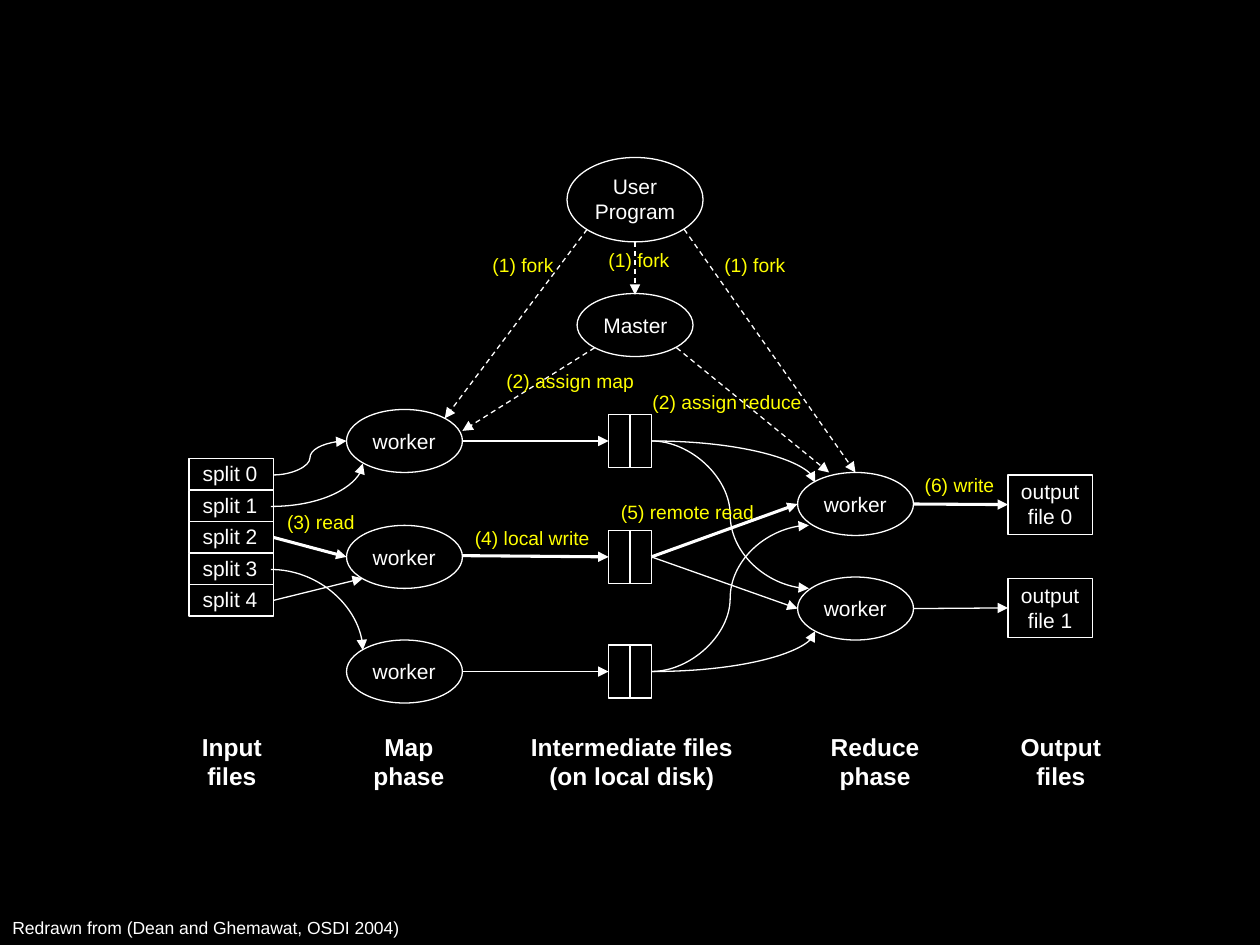
from lxml import etree
from pptx import Presentation
from pptx import util as u
from pptx.dml.color import RGBColor
from pptx.enum import dml, shapes, text
from pptx.oxml import ns

Inches = u.Inches
color = RGBColor.from_string
WHITE, YELLOW, BLACK = "FFFFFF", "FFFF00", "000000"
RECTANGLE, OVAL = shapes.MSO_SHAPE.RECTANGLE, shapes.MSO_SHAPE.OVAL
LEFT, CENTER = text.PP_ALIGN.LEFT, text.PP_ALIGN.CENTER

presentation = Presentation()
presentation.slide_width, presentation.slide_height = Inches(10), Inches(7.5)
slide = presentation.slides.add_slide(presentation.slide_layouts[6])
slide.background.fill.solid()
slide.background.fill.fore_color.rgb = color(BLACK)


def add_outline(kind, left, top, width, height):
    shape = slide.shapes.add_shape(kind, Inches(left), Inches(top), Inches(width), Inches(height))
    shape.shadow.inherit = False
    shape.fill.background()
    shape.line.color.rgb = color(WHITE)
    shape.line.width = u.Pt(0.75)
    return shape


def add_label(words, left, top, width, height, size=12, hex_color=WHITE,
              bold=False, align=LEFT, wrap=False):
    box = slide.shapes.add_textbox(Inches(left), Inches(top), Inches(width), Inches(height))
    frame = box.text_frame
    frame.text = words
    frame.word_wrap = wrap
    frame.auto_size = text.MSO_AUTO_SIZE.SHAPE_TO_FIT_TEXT
    for paragraph in frame.paragraphs:
        paragraph.alignment = align
        paragraph.font.name = "Arial"
        paragraph.font.size = u.Pt(size)
        paragraph.font.bold = bold
        paragraph.font.color.rgb = color(hex_color)


# Input splits
splits = []
for index in range(5):
    top = 3.64 + 0.25 * index
    splits.append(add_outline(RECTANGLE, 1.5, top, 0.67, 0.25))
    add_label(f"split {index}", 1.51, top - 0.03, 0.64, 0.3)

# Map and reduce workers, master
for name, left, top, width in [
    ("worker", 2.75, 3.25, 0.7), ("worker", 2.75, 4.17, 0.7), ("worker", 2.75, 5.08, 0.7),
    ("worker", 6.33, 3.75, 0.7), ("worker", 6.33, 4.58, 0.7), ("Master", 4.58, 2.33, 0.72),
]:
    add_outline(OVAL, left, top, 0.92, 0.5)
    add_label(name, left + 0.11, top + 0.1, width, 0.3)

# User program
add_outline(OVAL, 4.5, 1.25, 1.08, 0.67)
add_label("User\vProgram", 4.62, 1.33, 0.84, 0.5, align=CENTER)

# Output files
outputs = []
for index, top in enumerate([3.77, 4.59]):
    outputs.append(add_outline(RECTANGLE, 8, top, 0.67, 0.47))
    add_label(f"output\nfile {index}", 8, top - 0.02, 0.67, 0.51, align=CENTER)

# Intermediate files, each a pair of partitions
partitions = [[add_outline(RECTANGLE, left, top, 0.17, 0.42) for left in (4.83, 5)]
              for top in (3.29, 4.21, 5.12)]

# Straight arrows: start, end, width, dashed, rectangle at start, rectangle at end
straight_arrows = [
    ((2.17, 4.27), (2.75, 4.42), 1.75, False, splits[2], None),
    ((2.17, 4.77), (2.88, 4.59), 0.75, False, splits[4], None),
    ((3.67, 3.5), (4.83, 3.5), 0.75, False, None, partitions[0][0]),
    ((3.67, 4.41), (4.83, 4.42), 1.75, False, None, partitions[1][0]),
    ((3.67, 5.33), (4.83, 5.34), 0.75, False, None, partitions[2][0]),
    ((7.25, 4), (8, 4), 1.75, False, None, outputs[0]),
    ((7.25, 4.83), (8, 4.83), 0.75, False, None, outputs[1]),
    ((5.17, 4.42), (6.33, 4), 1.75, False, partitions[1][1], None),
    ((5.17, 4.42), (6.33, 4.83), 0.75, False, partitions[1][1], None),
    ((4.66, 1.82), (3.53, 3.32), 0.75, True, None, None),
    ((5.04, 1.92), (5.04, 2.34), 0.75, True, None, None),
    ((5.43, 1.82), (6.79, 3.75), 0.75, True, None, None),
    ((4.72, 2.76), (3.67, 3.42), 0.75, True, None, None),
    ((5.37, 2.76), (6.58, 3.75), 0.75, True, None, None),
]
arrows = []
for start, end, width, dashed, source, target in straight_arrows:
    arrow = slide.shapes.add_connector(shapes.MSO_CONNECTOR.STRAIGHT, *map(Inches, start + end))
    if source is not None:
        arrow.begin_connect(source, 3)
    if target is not None:
        arrow.end_connect(target, 1)
    if dashed:
        arrow.line.dash_style = dml.MSO_LINE.DASH
    arrows.append((arrow, width))

# Curved arrows: start, end, preset (2 is a quarter bend, 3 an S curve)
for start, end, preset in [
    ((2.17, 3.77), (2.75, 3.5), 3),
    ((2.15, 4.02), (2.88, 3.68), 2),
    ((2.15, 4.52), (2.88, 5.16), 2),
    ((5.17, 3.5), (6.47, 3.83), 2),
    ((5.17, 3.5), (6.42, 4.67), 3),
    ((5.17, 5.33), (6.42, 4.17), 3),
    ((5.17, 5.33), (6.47, 5.01), 2),
]:
    arrow = slide.shapes.add_connector(shapes.MSO_CONNECTOR.CURVE, *map(Inches, start + end))
    geometry = arrow.element.spPr.find(ns.qn("a:prstGeom"))
    geometry.set("prst", f"curvedConnector{preset}")
    arrows.append((arrow, 0.75))

# Line colour, arrowhead and no shadow for every arrow
for arrow, width in arrows:
    arrow.line.color.rgb = color(WHITE)
    arrow.line.width = u.Pt(width)
    properties = arrow.element.spPr
    etree.SubElement(properties.get_or_add_ln(), ns.qn("a:tailEnd"), type="triangle")
    etree.SubElement(properties, ns.qn("a:effectLst"))

# Step labels
for words, left, top, width in [
    ("(1) fork", 3.81, 1.96, 0.69),
    ("(1) fork", 4.73, 1.92, 0.69),
    ("(1) fork", 5.65, 1.96, 0.69),
    ("(2) assign map", 3.92, 2.88, 1.22),
    ("(2) assign reduce", 5.08, 3.05, 1.39),
    ("(3) read", 2.18, 4, 0.74),
    ("(4) local write", 3.67, 4.13, 1.12),
    ("(5) remote read", 4.83, 3.92, 1.26),
    ("(6) write", 7.24, 3.71, 0.76),
]:
    add_label(words, left, top, width, 0.29, size=11, hex_color=YELLOW)

# Phase captions
for words, left, width in [
    ("Input\nfiles", 1.5, 0.68),
    ("Map\nphase", 2.86, 0.77),
    ("Intermediate files\n(on local disk)", 4.11, 1.81),
    ("Reduce\nphase", 6.49, 0.91),
    ("Output\nfiles", 8, 0.84),
]:
    add_label(words, left, 5.76, width, 0.57, size=14, bold=True, align=CENTER)

# Source note
add_label("Redrawn from (Dean and Ghemawat, OSDI 2004)", 0, 7.23, 3.42, 0.27, size=10, wrap=True)

presentation.save("out.pptx")
